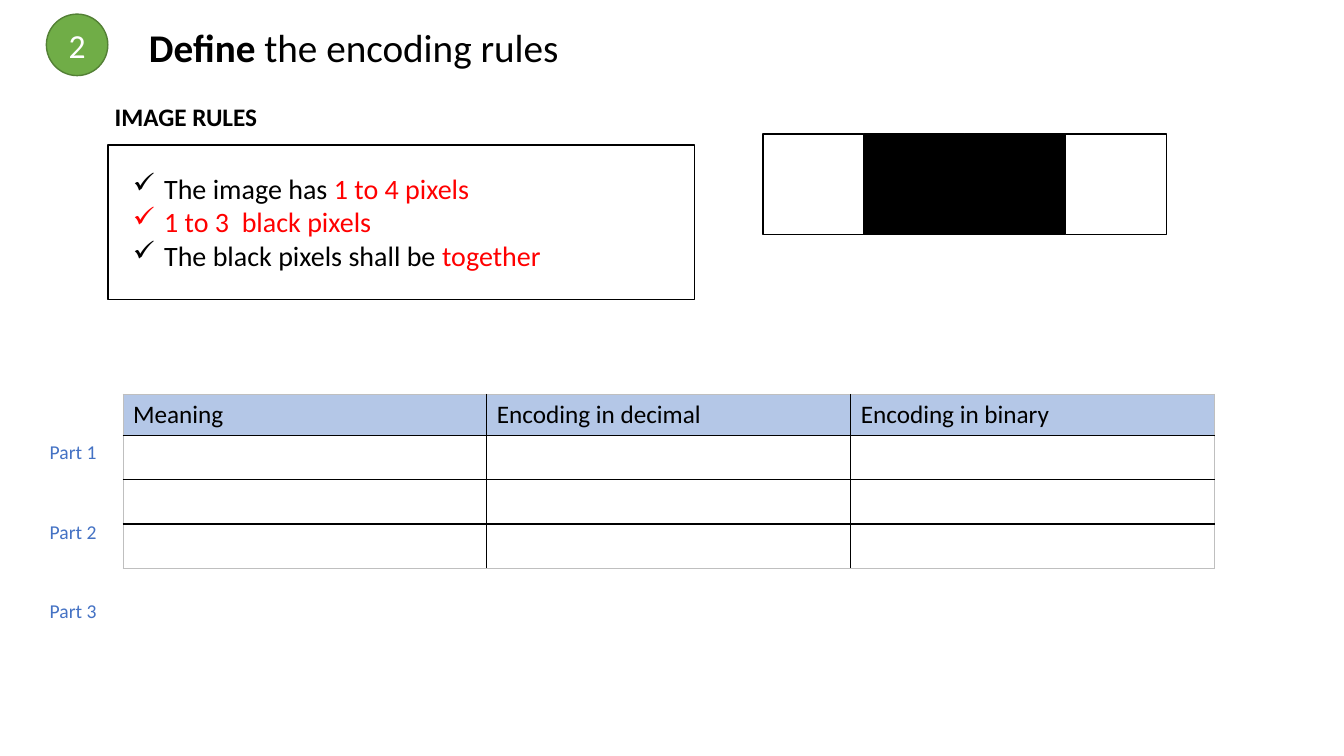
import pptx
import pptx.util
import pptx.dml.color
import pptx.enum.shapes
import pptx.enum.text
import pptx.oxml
import pptx.oxml.ns

HUES = {
    "black": "000000", "white": "FFFFFF", "red": "FF0000", "blue": "4472C4",
    "green": "70AD47", "moss": "538035", "sky": "B4C7E7", "grey": "BFBFBF",
}
UNIT = pptx.util.Inches(0.1)  # one column or row of the slide grid
SHAPE = pptx.enum.shapes.MSO_SHAPE
NS = pptx.oxml.ns.nsdecls("a")


def grid(*spans):
    """Turn counts of columns or rows into lengths."""
    return [round(span * UNIT) for span in spans]


def color(name):
    return pptx.dml.color.RGBColor.from_string(HUES[name])


def write(para, parts, size):
    """Fill a paragraph with (text, colour, bold) parts."""
    for text, hue, bold in parts:
        run = para.add_run()
        run.text = text
        font = run.font
        font.name, font.size, font.bold = "Calibri", pptx.util.Pt(size), bold
        font.color.rgb = color(hue)


def check(para):
    """Give a paragraph a hanging tick mark."""
    props = para._p.get_or_add_pPr()
    indent = grid(3.1)[0]
    props.set("marL", str(indent))
    props.set("indent", str(-indent))
    props.append(pptx.oxml.parse_xml(f'<a:buChar {NS} char="✓"/>'))


def label(slide, place, lines, size, wrap=False, ticks=False):
    frame = slide.shapes.add_textbox(*grid(*place)).text_frame
    frame.word_wrap = wrap
    frame.auto_size = pptx.enum.text.MSO_AUTO_SIZE.SHAPE_TO_FIT_TEXT
    for row, parts in enumerate(lines):
        para = frame.add_paragraph() if row else frame.paragraphs[0]
        if ticks:
            check(para)
        write(para, parts, size)


def block(slide, kind, place, fill, line):
    shape = slide.shapes.add_shape(kind, *grid(*place))
    shape.shadow.inherit = False
    if fill:
        shape.fill.solid()
        shape.fill.fore_color.rgb = color(fill)
    else:
        shape.fill.background()
    shape.line.color.rgb = color(line)
    shape.line.width = pptx.util.Pt(1)
    return shape


def badge(slide, place, text):
    frame = block(slide, SHAPE.OVAL, place, "green", "moss").text_frame
    frame.vertical_anchor = pptx.enum.text.MSO_ANCHOR.MIDDLE
    para = frame.paragraphs[0]
    para.alignment = pptx.enum.text.PP_ALIGN.CENTER
    write(para, [(text, "white", False)], 24)


def border(cell, outer):
    """Draw the four edges, with the outer ones in grey."""
    props = cell._tc.get_or_add_tcPr()
    for slot, side in enumerate("LRTB"):
        hue, width = ("grey", 6350) if side in outer else ("black", 12700)
        props.insert(slot, pptx.oxml.parse_xml(
            f'<a:ln{side} {NS} w="{width}"><a:solidFill>'
            f'<a:srgbClr val="{HUES[hue]}"/></a:solidFill></a:ln{side}>'))


def chart(slide, place, heads, rows):
    """Draw the encoding table: a row of heads over empty rows."""
    table = slide.shapes.add_table(rows, len(heads), *grid(*place)).table
    table.horz_banding = False
    for row in range(rows):
        table.rows[row].height = grid(4.4 if row else 4.1)[0]
        for col, head in enumerate(heads):
            cell = table.cell(row, col)
            if row:
                cell.fill.background()
            else:
                cell.fill.solid()
                cell.fill.fore_color.rgb = color("sky")
                write(cell.text_frame.paragraphs[0],
                      [(head, "black", False)], 18)
            edges = {"L": col == 0, "R": col == len(heads) - 1,
                     "T": row == 0, "B": row == rows - 1}
            border(cell, [side for side, edge in edges.items() if edge])


def main():
    deck = pptx.Presentation()
    deck.slide_width, deck.slide_height = grid(133.33, 75)
    slide = deck.slides.add_slide(deck.slide_layouts[6])

    chart(slide, (12.2, 39.1, 108.3, 17.3),
          ["Meaning", "Encoding in decimal", "Encoding in binary"], 4)
    for part in range(3):
        label(slide, (3.95, 43.2 + 7.85 * part, 6.7, 3.4),
              [[(f"Part {part + 1}", "blue", False)]], 14)

    label(slide, (13.8, 1.8, 45, 5.7),
          [[("Define", "black", True),
            (" the encoding rules", "black", False)]], 28, wrap=True)
    badge(slide, (4.6, 1.4, 6.1, 6.1), "2")

    rules = [
        [("The image has ", "black", False), ("1 to 4 pixels", "red", False)],
        [("1 to 3  black pixels", "red", False)],
        [("The black pixels shall be ", "black", False),
         ("together", "red", False)],
    ]
    label(slide, (12.2, 16.5, 43.5, 11.1), rules, 20, ticks=True)
    label(slide, (10.4, 9.6, 16.3, 4), [[("IMAGE RULES", "black", True)]], 18)
    block(slide, SHAPE.RECTANGLE, (10.7, 14.4, 58.2, 15.3), None, "black")

    for spot, hue in enumerate(["white", "black", "black", "white"]):
        block(slide, SHAPE.RECTANGLE, (75.7 + 10 * spot, 13.3, 10, 10),
              hue, "black")

    deck.save("out.pptx")


if __name__ == "__main__":
    main()
